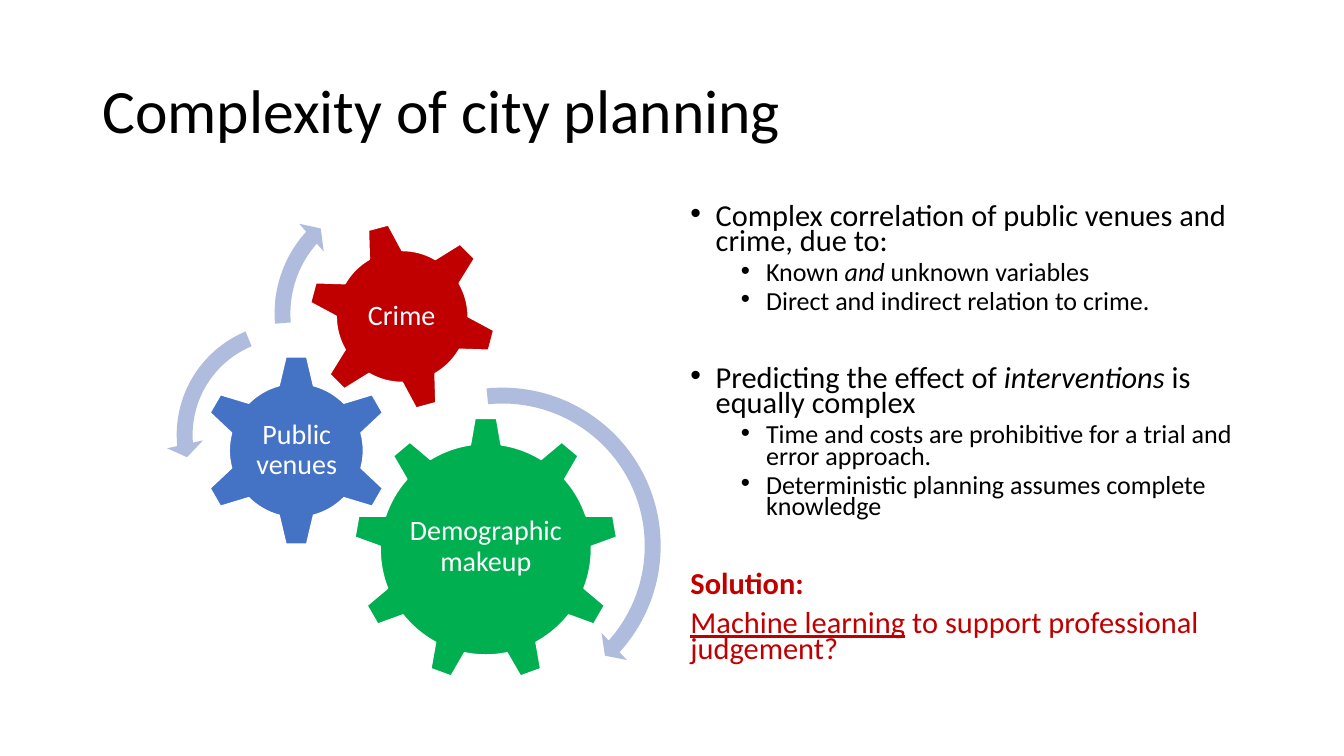
from lxml import etree
from pptx import Presentation
from pptx.dml.color import RGBColor
from pptx.enum.shapes import MSO_SHAPE as Preset
from pptx.enum.text import MSO_ANCHOR as Anchor, MSO_AUTO_SIZE as AutoSize, PP_ALIGN as Align
from pptx.oxml.ns import qn
from pptx.util import Pt

FONT = "Calibri"
BLACK, WHITE, RED = "000000", "FFFFFF", "C00000"
GREEN, BLUE, ARROW_BLUE = "00B050", "4472C4", "B0BCDE"

GEARS = [
    (Preset.GEAR_9, (252.7, 298.1, 188.6), 0, GREEN, "Demographic makeup", (290.9, 342, 112.3, 97.2)),
    (Preset.GEAR_6, (143.3, 253.4, 136.8), 0, BLUE, "Public venues", (177.8, 288, 68.4, 67.7)),
    (Preset.GEAR_6, (220, 158.8, 134.6), 345, RED, "Crime", (249.1, 188.2, 75.6, 75.6)),
]
ARROWS = [
    (Preset.CIRCULAR_ARROW, (238.3, 269.3, 241.2), (0.047, 2.99, 25.198, 158.534, 0.055)),
    (Preset.LEFT_CIRCULAR_ARROW, (118.8, 223.2, 175), (0.065, 4.3, 104.891, 148.378, 0.075)),
    (Preset.CIRCULAR_ARROW, (188.6, 129.6, 188.6), (0.06, 3.941, 133.138, 105.082, 0.07)),
]
TOPIC, DETAIL, CLOSING = (0, 18, 21.7, BLACK), (1, 54, 18.6, BLACK), (0, 0, 21.7, RED)
BODY = [
    (TOPIC, 0, [("Complex correlation of public venues and crime, due to:", "")]),
    (DETAIL, 5, [("Known ", ""), ("and ", "italic"), ("unknown variables", "")]),
    (DETAIL, 5, [("Direct and indirect relation to crime.", "")]),
    (TOPIC, 38, [("Predicting the effect of ", ""), ("interventions", "italic"), (" is equally complex", "")]),
    (DETAIL, 5, [("Time and costs are prohibitive for a trial and error approach.", "")]),
    (DETAIL, 5, [("Deterministic planning assumes complete knowledge", "")]),
    (CLOSING, 38, [("Solution:", "bold")]),
    (CLOSING, 10, [("Machine learning", "underline"), (" to support professional judgement?", "")]),
]


def rgb(color):
    """Return the colour for a hex string."""
    return RGBColor.from_string(color)


def place(shape, left, top, width, height):
    """Set a shape's position and size in points."""
    shape.left, shape.top, shape.width, shape.height = map(Pt, (left, top, width, height))


def style_paragraph(paragraph, size, color, spacing):
    """Set the font and line spacing of a paragraph."""
    paragraph.line_spacing = spacing
    font = paragraph.font
    font.name, font.size = FONT, Pt(size)
    font.color.rgb = rgb(color)


def set_bullet(paragraph, margin):
    """Give a paragraph a hanging bullet, or none when the margin is zero."""
    properties = paragraph._p.get_or_add_pPr()
    properties.set("marL", str(Pt(margin)))
    properties.set("indent", str(Pt(-18 if margin else 0)))
    if margin:
        etree.SubElement(properties, qn("a:buFont")).set("typeface", "Arial")
        etree.SubElement(properties, qn("a:buChar")).set("char", "•")
    else:
        etree.SubElement(properties, qn("a:buNone"))


def add_preset(shapes, preset, square, color):
    """Add a filled preset shape in a square given by left, top and side."""
    left, top, side = map(Pt, square)
    shape = shapes.add_shape(preset, left, top, side, side)
    shape.shadow.inherit = False
    shape.fill.solid()
    shape.fill.fore_color.rgb = rgb(color)
    shape.line.fill.background()
    return shape


def add_gear(shapes, preset, square, rotation, color, label, label_box):
    """Add a gear with an upright label."""
    gear = add_preset(shapes, preset, square, color)
    gear.rotation = rotation
    gear.line.color.rgb = rgb(WHITE)
    gear.line.width = Pt(1)
    frame = shapes.add_textbox(*map(Pt, label_box)).text_frame
    frame.word_wrap = True
    frame.vertical_anchor = Anchor.MIDDLE
    frame.margin_left = frame.margin_right = frame.margin_top = frame.margin_bottom = Pt(0)
    paragraph = frame.paragraphs[0]
    paragraph.text = label
    paragraph.alignment = Align.CENTER
    style_paragraph(paragraph, 20, WHITE, 0.9)


def add_arrow(shapes, preset, square, adjustments):
    """Add a curved arrow showing a gear's direction."""
    arrow = add_preset(shapes, preset, square, ARROW_BLUE)
    for index, value in enumerate(adjustments):
        arrow.adjustments[index] = value


def fill_title(title):
    """Write and format the slide title."""
    place(title, 66, 28.8, 828, 104.4)
    frame = title.text_frame
    frame.text = "Complexity of city planning"
    frame.vertical_anchor = Anchor.MIDDLE
    paragraph = frame.paragraphs[0]
    paragraph.alignment = Align.LEFT
    style_paragraph(paragraph, 44, BLACK, 0.9)


def fill_body(body):
    """Write the bulleted argument and its closing question."""
    place(body, 486, 143.5, 408, 342.7)
    frame = body.text_frame
    frame.auto_size = AutoSize.NONE
    for index, ((level, margin, size, color), space_before, runs) in enumerate(BODY):
        paragraph = frame.add_paragraph() if index else frame.paragraphs[0]
        paragraph.level = level
        set_bullet(paragraph, margin)
        paragraph.space_before = Pt(space_before)
        style_paragraph(paragraph, size, color, 0.7)
        for text, emphasis in runs:
            run = paragraph.add_run()
            run.text = text
            if emphasis:
                setattr(run.font, emphasis, True)


def main():
    """Build and save the slide."""
    presentation = Presentation()
    presentation.slide_width, presentation.slide_height = Pt(960), Pt(540)
    slide = presentation.slides.add_slide(presentation.slide_layouts[1])
    fill_title(slide.shapes.title)
    diagram = slide.shapes.add_group_shape().shapes
    for gear in GEARS:
        add_gear(diagram, *gear)
    for arrow in ARROWS:
        add_arrow(diagram, *arrow)
    fill_body(slide.placeholders[1])
    presentation.save("out.pptx")


if __name__ == "__main__":
    main()
